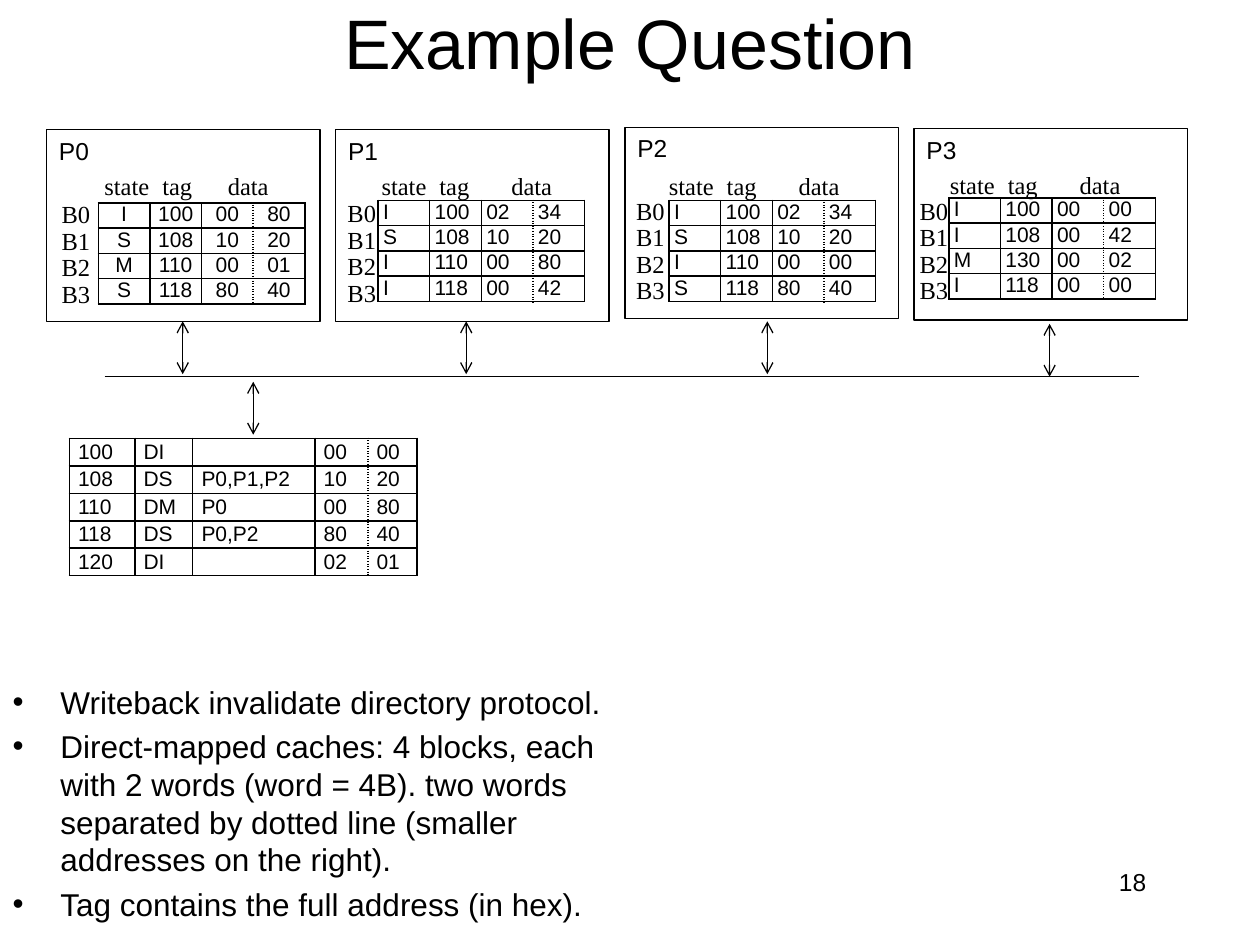
"""Builds a slide on a directory protocol: four caches, a bus and a memory table."""
import dataclasses
import typing

import lxml.etree
import pptx
import pptx.dml.color
import pptx.enum.shapes
import pptx.enum.text
import pptx.oxml.ns
import pptx.util

ALIGN = pptx.enum.text.PP_ALIGN
ANCHOR = pptx.enum.text.MSO_ANCHOR
qn = pptx.oxml.ns.qn


@dataclasses.dataclass(frozen=True)
class Theme:
    """Colours, fonts, type sizes and line widths."""
    ink: str = "000000"
    sans: str = "Arial"
    serif: str = "Times New Roman"
    title: int = 40
    body: int = 18
    label: int = 14
    cell: int = 12
    thin: float = 0.75
    rule: float = 1


class Cache(typing.NamedTuple):
    """One cache: its words and the places of its parts, in grid units."""
    name: str
    top: float
    table: tuple
    head: tuple
    tabs: tuple
    names: tuple
    arrow: tuple
    align: typing.Any
    rows: tuple


THEME = Theme()
COLS, ROWS = 100, 75
STEP = 22.95
CACHES = (
    Cache("P0", 10.3, (7.8, 16.1), (7.3, 13.1), (4.6, 9.8), (3.9, 15.6), (14.5, 25.5), ALIGN.CENTER,
          ("I 100 00 80", "S 108 10 20", "M 110 00 01", "S 118 80 40")),
    Cache("P1", 10.3, (30, 15.9), (29.3, 13.1), (4.6, 10.3), (26.6, 15.5), (37, 25.5), ALIGN.LEFT,
          ("I 100 02 34", "S 108 10 20", "I 110 00 80", "I 118 00 42")),
    Cache("P2", 10.1, (53.1, 15.9), (52.1, 13.1), (4.6, 10.3), (49.5, 15.3), (60.9, 25.5), ALIGN.LEFT,
          ("I 100 02 34", "S 108 10 20", "I 110 00 00", "S 118 80 40")),
    Cache("P3", 10.2, (75.3, 15.7), (74.4, 13), (4.6, 10.3), (72, 15.3), (83.3, 25.7), ALIGN.LEFT,
          ("I 100 00 00", "I 108 00 42", "M 130 00 02", "I 118 00 00")),
)
MEMORY = (
    ("100", "DI", "", "00", "00"),
    ("108", "DS", "P0,P1,P2", "10", "20"),
    ("110", "DM", "P0", "00", "80"),
    ("118", "DS", "P0,P2", "80", "40"),
    ("120", "DI", "", "02", "01"),
)
NOTES = (
    "Writeback invalidate directory protocol.",
    "Direct-mapped caches: 4 blocks, each with 2 words (word = 4B). "
    "two words separated by dotted line (smaller addresses on the right).",
    "Tag contains the full address (in hex).",
)


def grid(*units):
    """Turn grid units of a tenth of an inch into lengths."""
    return [pptx.util.Inches(unit / 10) for unit in units]


def color():
    """Return the ink colour."""
    return pptx.dml.color.RGBColor.from_string(THEME.ink)


def style(frame, size, font=THEME.sans, align=ALIGN.LEFT):
    """Format every run of a text frame."""
    for para in frame.paragraphs:
        para.alignment = align
        for run in para.runs:
            run.font.size = pptx.util.Pt(size)
            run.font.name = font
            run.font.color.rgb = color()


def place(shape, left, top, width, height):
    """Move and size a shape on the grid."""
    shape.left, shape.top, shape.width, shape.height = grid(left, top, width, height)


def label(slide, text, box, font=THEME.serif, align=ALIGN.LEFT, space=1.0, tabs=()):
    """Add a text box, with optional tab stops."""
    frame = slide.shapes.add_textbox(*grid(*box)).text_frame
    frame.word_wrap = True
    frame.text = text
    for para in frame.paragraphs:
        para.line_spacing = space
        if tabs:
            stops = lxml.etree.SubElement(para._p.get_or_add_pPr(), qn("a:tabLst"))
            for stop in grid(*tabs):
                lxml.etree.SubElement(stops, qn("a:tab"), pos=str(stop), algn="l")
    style(frame, THEME.label, font, align)


def panel(slide, text, box):
    """Add an unfilled, outlined box named at its top left."""
    shape = slide.shapes.add_shape(pptx.enum.shapes.MSO_SHAPE.RECTANGLE, *grid(*box))
    shape.shadow.inherit = False
    shape.fill.background()
    shape.line.color.rgb = color()
    shape.line.width = pptx.util.Pt(THEME.thin)
    shape.text_frame.text = text
    shape.text_frame.vertical_anchor = ANCHOR.TOP
    style(shape.text_frame, THEME.label)


def line(slide, ends, arrow=True):
    """Add a straight line, with arrowheads at both ends if wanted."""
    link = slide.shapes.add_connector(pptx.enum.shapes.MSO_CONNECTOR.STRAIGHT, *grid(*ends))
    link.line.color.rgb = color()
    link.line.width = pptx.util.Pt(THEME.thin)
    if arrow:
        for end in ("headEnd", "tailEnd"):
            lxml.etree.SubElement(link.line._ln, qn(f"a:{end}"), type="arrow")
    lxml.etree.SubElement(link._element.spPr, qn("a:effectLst"))


def border(cell, dotted):
    """Rule the four sides of a cell, dotting the named side."""
    props = cell._tc.get_or_add_tcPr()
    for spot, side in enumerate("LRTB"):
        rule = lxml.etree.Element(qn(f"a:ln{side}"), w=str(pptx.util.Pt(THEME.rule)))
        fill = lxml.etree.SubElement(rule, qn("a:solidFill"))
        lxml.etree.SubElement(fill, qn("a:srgbClr"), val=THEME.ink)
        dash = "sysDot" if side == dotted else "solid"
        lxml.etree.SubElement(rule, qn("a:prstDash"), val=dash)
        props.insert(spot, rule)


def table(slide, spot, rows, widths, height, inset, align=ALIGN.LEFT, anchor=ANCHOR.TOP):
    """Add a ruled table whose last two columns are split by a dotted line."""
    count = len(widths)
    size = (sum(widths), height * len(rows))
    sheet = slide.shapes.add_table(len(rows), count, *grid(*spot, *size)).table
    sheet.first_row = sheet.horz_banding = False
    for col, width in zip(sheet.columns, grid(*widths)):
        col.width = width
    for y, row in enumerate(rows):
        sheet.rows[y].height = grid(height)[0]
        for x, text in enumerate(row):
            cell = sheet.cell(y, x)
            cell.margin_left = cell.margin_right = grid(inset)[0]
            cell.margin_top = cell.margin_bottom = 0
            cell.vertical_anchor = anchor
            cell.fill.background()
            border(cell, {count - 2: "R", count - 1: "L"}.get(x))
            if text:
                cell.text_frame.text = text
                style(cell.text_frame, THEME.cell, align=align)
            else:
                para = cell.text_frame.paragraphs[0]._p
                lxml.etree.SubElement(para, qn("a:endParaRPr"), sz=str(THEME.cell * 100))


def cache(slide, index, item):
    """Draw one cache with its blocks and its link to the bus."""
    table(slide, item.table, [row.split() for row in item.rows], [4.1] * 4, 2, 0.4, item.align)
    label(slide, "state\ttag\tdata", (*item.head, 17, 3.4), tabs=item.tabs)
    label(slide, "B0\nB1\nB2\nB3", (*item.names, 5, 9.5), space=0.9)
    panel(slide, item.name, (3.7 + STEP * index, item.top, 21.7, 15.2))
    x, y = item.arrow
    line(slide, (x, y, x, y + 4.2))


def title(slide):
    """Fill the title placeholder."""
    shape = slide.shapes.title
    place(shape, 7.5, 0, 85, 6.6)
    shape.text_frame.text = "Example Question"
    shape.text_frame.auto_size = pptx.enum.text.MSO_AUTO_SIZE.NONE
    shape.text_frame.vertical_anchor = ANCHOR.MIDDLE
    style(shape.text_frame, THEME.title, align=ALIGN.CENTER)


def notes(slide):
    """Fill the body placeholder with bullets."""
    shape = slide.placeholders[1]
    place(shape, 0, 53.7, 52.7, 21.3)
    frame = shape.text_frame
    frame.text = "\n".join(NOTES)
    frame.auto_size = pptx.enum.text.MSO_AUTO_SIZE.NONE
    hang = grid(3.8)[0]
    for spot, para in enumerate(frame.paragraphs):
        para.space_before = pptx.util.Pt(THEME.body * 0.2 if spot else 0)
        props = para._p.get_or_add_pPr()
        props.set("marL", str(hang))
        props.set("indent", str(-hang))
        lxml.etree.SubElement(props, qn("a:buChar"), char="•")
    style(frame, THEME.body)


def main():
    """Build and save the slide."""
    deck = pptx.Presentation()
    deck.slide_width, deck.slide_height = grid(COLS, ROWS)
    slide = deck.slides.add_slide(deck.slide_layouts[1])
    title(slide)
    label(slide, "18 ", (71.7, 68.3, 20.8, 5), THEME.sans, ALIGN.RIGHT)
    for index, item in enumerate(CACHES):
        cache(slide, index, item)
    line(slide, (8.3, 29.9, 90.4, 29.9), arrow=False)
    table(slide, (5.5, 34.8), MEMORY, (5.2, 4.6, 9.7, 4.2, 3.9), 2.18, 0.7, anchor=ANCHOR.MIDDLE)
    line(slide, (20.1, 30.3, 20.1, 34.5))
    notes(slide)
    deck.save("out.pptx")


if __name__ == "__main__":
    main()
